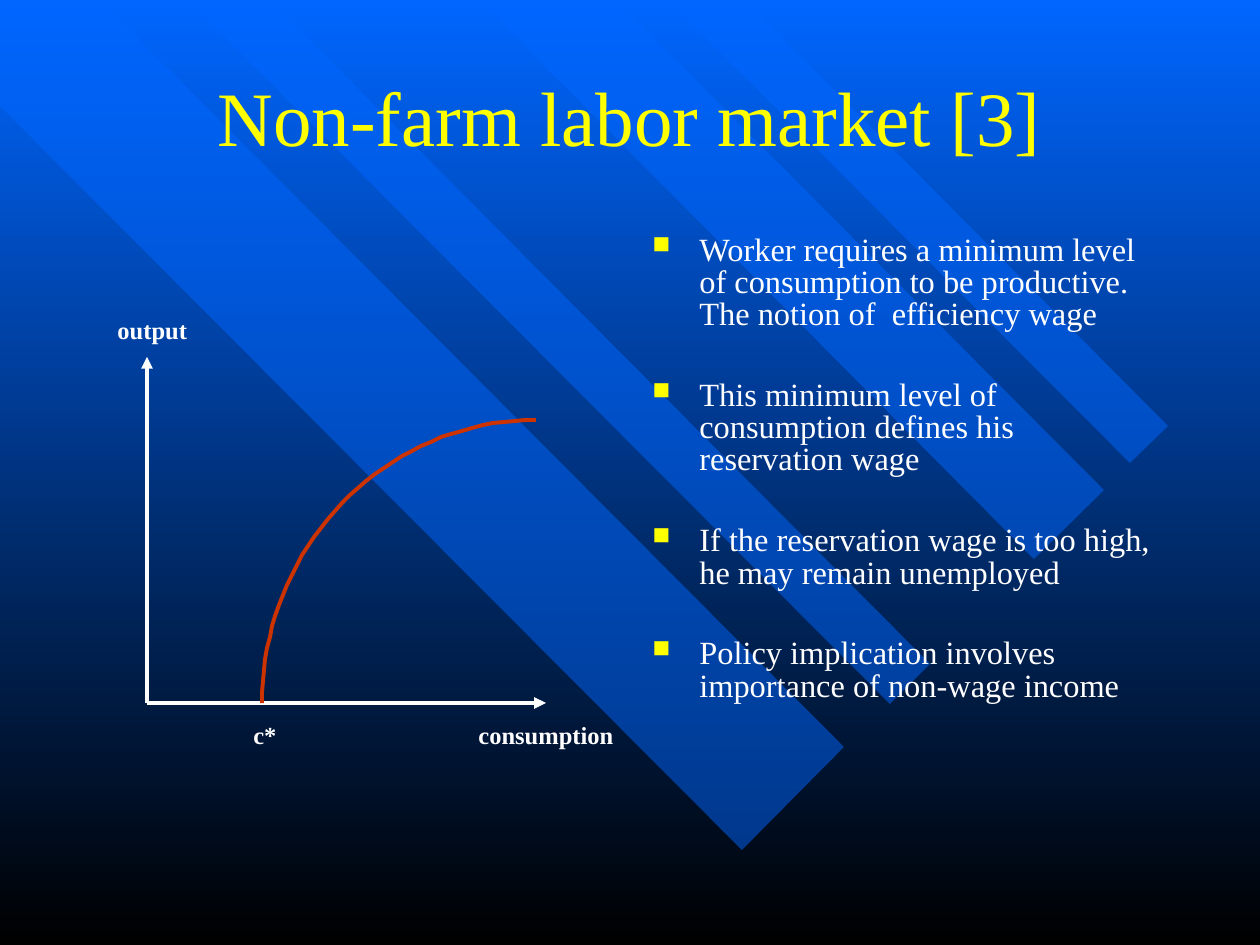
import math

import pptx
import pptx.dml.color
import pptx.enum.shapes
import pptx.enum.text
import pptx.oxml
import pptx.oxml.ns
import pptx.util

PX = 914400 / 126
FONT = "Times New Roman"
BLUE, BLACK, YELLOW, WHITE, RED = "0066FF", "000000", "FFFF00", "FFFFFF", "CC3300"


def px(length):
    return pptx.util.Emu(round(length * PX))


def color(hex_code):
    return pptx.dml.color.RGBColor.from_string(hex_code)


def add_xml(parent, tag, **attributes):
    child = pptx.oxml.parse_xml(f"<a:{tag} {pptx.oxml.ns.nsdecls('a')}/>")
    for name, value in attributes.items():
        child.set(name, str(value))
    parent.append(child)
    return child


def write(frame, paragraphs, size, hex_code, bold=False, align="LEFT", anchor="TOP",
          wrap=True, spacing=None, gap=0, bullet=None):
    frame.word_wrap = wrap
    frame.auto_size = pptx.enum.text.MSO_AUTO_SIZE.NONE
    frame.vertical_anchor = getattr(pptx.enum.text.MSO_ANCHOR, anchor)
    for i, text in enumerate(paragraphs):
        paragraph = frame.paragraphs[0] if i == 0 else frame.add_paragraph()
        paragraph.text = text
        paragraph.alignment = getattr(pptx.enum.text.PP_ALIGN, align)
        if spacing:
            paragraph.line_spacing = spacing
        if i and gap:
            paragraph.space_before = pptx.util.Pt(gap)
        if bullet:
            properties = paragraph._p.get_or_add_pPr()
            properties.set("marL", str(px(47)))
            properties.set("indent", str(px(-47)))
            add_xml(add_xml(properties, "buClr"), "srgbClr", val=YELLOW)
            add_xml(properties, "buSzPct", val=75000)
            add_xml(properties, "buChar", char=bullet)
        for run in paragraph.runs:
            run.font.name = FONT
            run.font.size = pptx.util.Pt(size)
            run.font.bold = bold
            run.font.color.rgb = color(hex_code)


class Deck:
    line_width = 2.25

    def __init__(self):
        self.file = pptx.Presentation()
        self.file.slide_width, self.file.slide_height = px(1260), px(945)
        self.slide = self.file.slides.add_slide(self.file.slide_layouts[5])

    def background(self, top, bottom):
        fill = self.slide.background.fill
        fill.gradient()
        fill.gradient_angle = 270
        for stop, hex_code, position in zip(fill.gradient_stops, (top, bottom), (0, 1)):
            stop.color.rgb = color(hex_code)
            stop.position = position

    def outline(self, points, close):
        builder = self.slide.shapes.build_freeform(*points[0], scale=PX)
        builder.add_line_segments(points[1:], close=close)
        shape = builder.convert_to_shape()
        shape.shadow.inherit = False
        return shape

    def stripe(self, points):
        shape = self.outline(points, close=True)
        shape.fill.solid()
        shape.fill.fore_color.rgb = color(BLUE)
        add_xml(shape.fill._xPr.find(".//" + pptx.oxml.ns.qn("a:srgbClr")), "alpha", val=50000)
        shape.line.fill.background()

    def curve(self, points, hex_code):
        shape = self.outline(points, close=False)
        shape.fill.background()
        shape.line.color.rgb = color(hex_code)
        shape.line.width = pptx.util.Pt(self.line_width)

    def title(self, text, left, top, width, height):
        title = self.slide.shapes.title
        title.left, title.top, title.width, title.height = map(px, (left, top, width, height))
        write(title.text_frame, [text], 44, YELLOW, align="CENTER", anchor="MIDDLE")
        # Bring the title in front of the stripes
        self.slide.shapes.element.append(title.element)

    def text(self, paragraphs, left, top, width, height, **style):
        box = self.slide.shapes.add_textbox(*map(px, (left, top, width, height)))
        write(box.text_frame, paragraphs, **style)

    def arrow(self, start, end):
        arrow = self.slide.shapes.add_connector(
            pptx.enum.shapes.MSO_CONNECTOR.STRAIGHT, *map(px, start + end))
        arrow.line.color.rgb = color(WHITE)
        arrow.line.width = pptx.util.Pt(self.line_width)
        add_xml(arrow.line._get_or_add_ln(), "tailEnd", type="triangle")
        add_xml(arrow._element.spPr, "effectLst")


def main():
    deck = Deck()

    # Backdrop with diagonal stripes
    deck.background(BLUE, BLACK)
    for corners in (
        [(844, 747), (100, 0), (0, 0), (0, 106), (742, 850)],
        [(457, 0), (930, 664), (890, 704), (188, 0), (270, 0)],
        [(616, 0), (1104, 490), (1034, 559), (479, 0)],
        [(668, 0), (1130, 463), (1168, 426), (745, 0)],
    ):
        # The second stripe is bounded by its two parallel edges
        if len(corners) == 5 and corners[0] == (457, 0):
            corners = [(270, 0), (930, 664), (890, 704), (188, 0)]
        deck.stripe(corners)

    deck.title("Non-farm labor market [3]", 94, 32, 1071, 168)

    # Argument
    deck.text(
        ["Worker requires a minimum level of consumption to be productive. "
         "The notion of  efficiency wage",
         "This minimum level of consumption defines his reservation wage",
         "If the reservation wage is too high, he may remain unemployed",
         "Policy implication involves importance of non-wage income"],
        640, 229, 525, 610, size=18.5, hex_code=WHITE, spacing=0.83, gap=27.7, bullet="■")

    # Axes
    origin = (147, 703)
    deck.arrow(origin, (147, 357))
    deck.arrow(origin, (546, 703))

    # Output curve: a quarter ellipse rising from c*
    steps = 40
    angles = [math.pi / 2 * i / steps for i in range(steps + 1)]
    deck.curve([(round(536 - 274 * math.cos(a)), round(703 - 283 * math.sin(a)))
                for a in angles], RED)

    # Axis labels
    for label, left, top, width in (("output", 105, 309, 95), ("c*", 241, 714, 50),
                                    ("consumption", 466, 714, 160)):
        deck.text([label], left, top, width, 43, size=14, hex_code=WHITE,
                  bold=True, wrap=False)

    deck.file.save("out.pptx")


if __name__ == "__main__":
    main()
